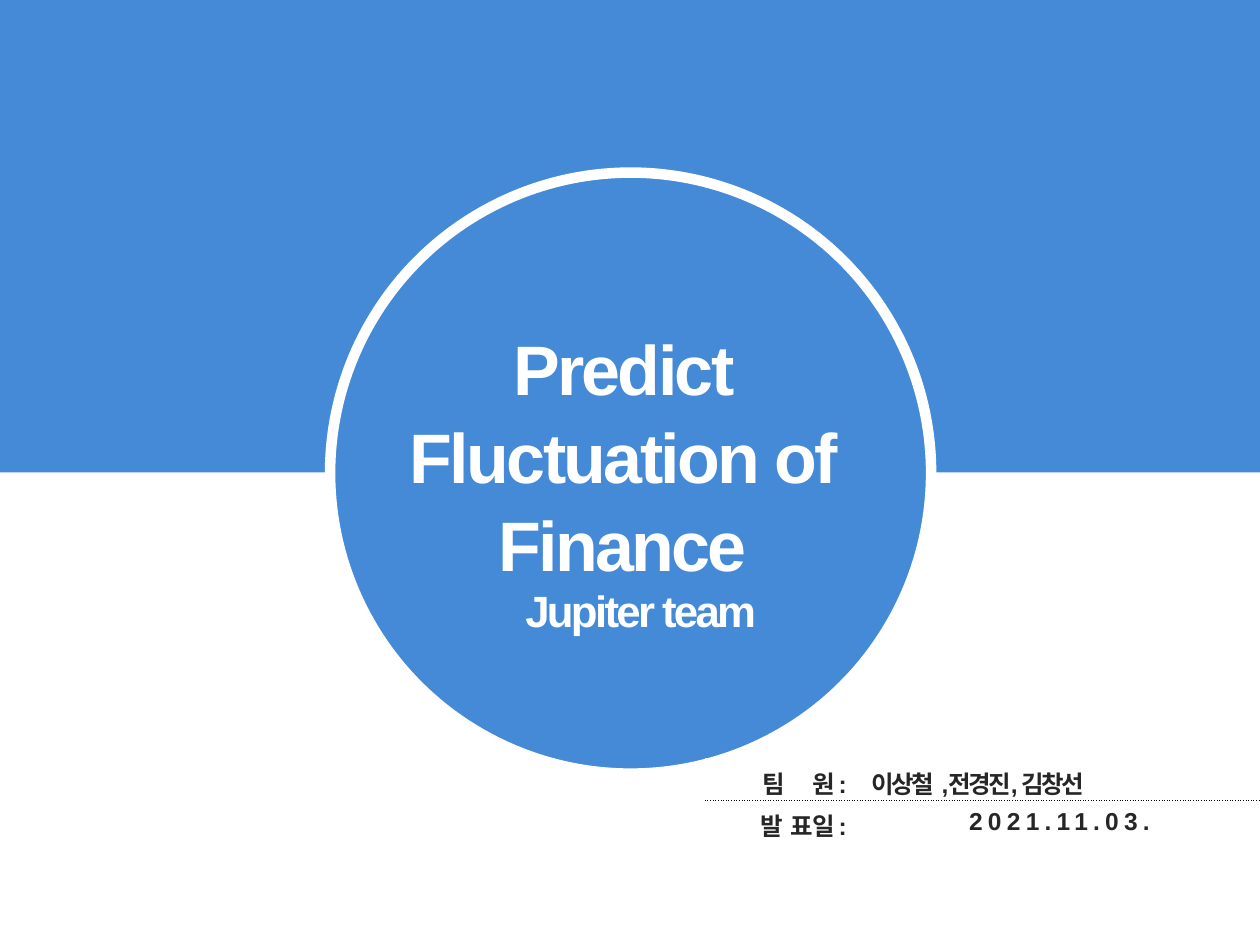
from dataclasses import dataclass

from lxml import etree
from pptx import Presentation
from pptx.dml.color import RGBColor
from pptx.enum import shapes, text
from pptx.oxml import ns
from pptx.util import Inches, Pt


@dataclass(frozen=True)
class Theme:
    blue: str = "448AD7"
    white: str = "FFFFFF"
    ink: str = "262626"
    rule: str = "000000"
    font: str = "Arial"
    title: int = 40
    team: int = 25
    detail: int = 14
    tight: float = -1.5


THEME = Theme()


def color(value):
    return RGBColor.from_string(value)


def write(tf, runs, size, fill, align=text.PP_ALIGN.CENTER, leading=1.0):
    p = tf.paragraphs[0]
    p.alignment = align
    p.line_spacing = leading
    p.space_before = Pt(0)
    for content, spacing in runs:
        r = p.add_run()
        r.text = content
        r.font.name = THEME.font
        r.font.size = Pt(size)
        r.font.bold = True
        r.font.color.rgb = color(fill)
        r.font.element.set("spc", str(round(spacing * 100))) if hasattr(r.font, "element") \
            else r._r.get_or_add_rPr().set("spc", str(round(spacing * 100)))


class Cover:
    def __init__(self, prs, theme):
        self.theme = theme
        self.s = prs.slides.add_slide(prs.slide_layouts[0])

    def shape(self, kind, box, line=None):
        sp = self.s.shapes.add_shape(kind, *map(Inches, box))
        sp.shadow.inherit = False
        sp.fill.solid()
        sp.fill.fore_color.rgb = color(self.theme.blue)
        if line:
            sp.line.color.rgb = color(self.theme.white)
            sp.line.width = Pt(line)
        else:
            sp.line.fill.background()
        return sp

    def heading(self, sp, box, content, size, behind, wrap=True):
        sp.left, sp.top, sp.width, sp.height = map(Inches, box)
        tf = sp.text_frame
        tf.word_wrap = wrap
        tf.auto_size = text.MSO_AUTO_SIZE.SHAPE_TO_FIT_TEXT
        tf.vertical_anchor = text.MSO_ANCHOR.TOP
        write(tf, [(content, self.theme.tight)], size, self.theme.white, leading=1.05)
        behind.element.addnext(sp.element)

    def border(self, cell, side):
        props = cell._tc.get_or_add_tcPr()
        line = etree.Element(ns.qn(f"a:{side}"), w=str(Pt(0.75)))
        fill = etree.SubElement(line, ns.qn("a:solidFill"))
        etree.SubElement(fill, ns.qn("a:srgbClr"), val=self.theme.rule)
        etree.SubElement(line, ns.qn("a:prstDash"), val="sysDot")
        props.insert(0, line)

    def table(self, box, widths, rows, aligns):
        frame = self.s.shapes.add_table(len(rows), len(widths), *map(Inches, box))
        table = frame.table
        table.first_row = table.horz_banding = False
        for column, width in zip(table.columns, widths):
            column.width = Inches(width)
        for i, row in enumerate(rows):
            for j, runs in enumerate(row):
                cell = table.cell(i, j)
                cell.fill.background()
                cell.vertical_anchor = text.MSO_ANCHOR.MIDDLE
                write(cell.text_frame, runs, self.theme.detail, self.theme.ink, aligns[i][j])
                self.border(cell, "lnT" if i else "lnB")


def main():
    prs = Presentation()
    prs.slide_width, prs.slide_height = Inches(10), Inches(7.5)
    cover = Cover(prs, THEME)
    title, team = cover.s.placeholders

    cover.shape(shapes.MSO_SHAPE.RECTANGLE, (0, 0, 10, 3.75))
    circle = cover.shape(shapes.MSO_SHAPE.FLOWCHART_CONNECTOR, (2.62, 1.37, 4.77, 4.77), line=6)
    cover.heading(title, (2.69, 2.5, 4.5, 2.12), "Predict Fluctuation of Finance", THEME.title, circle)
    cover.heading(team, (4.03, 4.56, 2.11, 0.52), "Jupiter team", THEME.team, title, wrap=False)

    tight, gap, wide_gap, loose = THEME.tight, 0.9, 12.9, 3
    left, center, right = text.PP_ALIGN.LEFT, text.PP_ALIGN.CENTER, text.PP_ALIGN.RIGHT
    rows = [
        [[("팀", tight), (" ", wide_gap), ("원 :", tight)],
         [("이상철", tight), (" ", gap), (",전경진, 김창선", tight)]],
        [[("발", tight), (" ", gap), ("표 일 :", tight)],
         [("2021.11.03.", loose)]],
    ]
    cover.table((5.6, 6.02, 4.4, 0.67), (1.22, 3.18), rows, [(right, left), (right, center)])
    prs.save("out.pptx")


if __name__ == "__main__":
    main()
